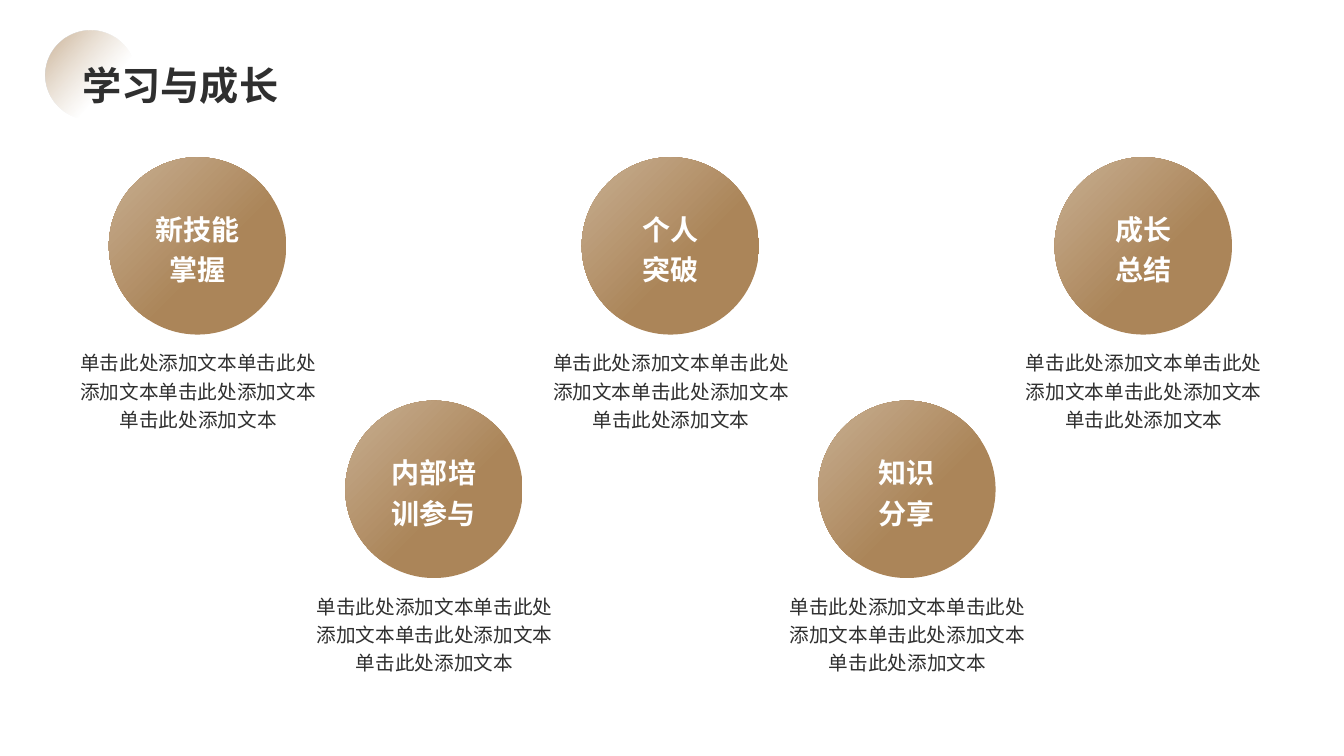
from lxml import etree
from pptx import Presentation
from pptx.dml.color import RGBColor
from pptx.enum.shapes import MSO_SHAPE as SHAPE
from pptx.enum.text import MSO_ANCHOR as ANCHOR, PP_ALIGN as ALIGN
from pptx.oxml import parse_xml
from pptx.oxml.ns import nsdecls, qn
from pptx.util import Inches, Pt

BRONZE = RGBColor(0xAB, 0x85, 0x59)
SAND = RGBColor(0xC8, 0xAF, 0x92)
INK = RGBColor(0x2F, 0x2F, 0x2F)
WHITE = RGBColor(0xFF, 0xFF, 0xFF)
CJK_FONT = "Noto Sans CJK SC"


def add_circle(page, left, top, size, stops, direction):
    circle = page.shapes.add_shape(
        SHAPE.OVAL, Inches(left), Inches(top), Inches(size), Inches(size))
    circle.shadow.inherit = False
    circle.line.fill.background()
    circle.fill.background()
    stop_xml = "".join(
        f'<a:gs pos="{place * 1000}"><a:srgbClr val="{color}">'
        f'<a:alpha val="{alpha * 1000}"/></a:srgbClr></a:gs>'
        for place, color, alpha in stops)
    gradient = parse_xml(
        f'<a:gradFill {nsdecls("a")} rotWithShape="1">'
        f'<a:gsLst>{stop_xml}</a:gsLst>{direction}</a:gradFill>')
    properties = circle.fill._xPr
    properties.replace(properties.find(qn("a:noFill")), gradient)
    return circle


def add_text(para, text, size, font, color, bold=False):
    span = para.add_run()
    span.text = text
    span.font.size = Pt(size)
    span.font.name = font
    span.font.bold = bold
    span.font.color.rgb = color
    east_asian = etree.SubElement(span.font._element, qn("a:ea"))
    east_asian.set("typeface", CJK_FONT)


deck = Presentation()
deck.slide_width = Inches(13.33)
deck.slide_height = Inches(7.5)
page = deck.slides.add_slide(deck.slide_layouts[6])

accent = add_circle(page, 0.45, 0.3, 0.89,
                    [(0, BRONZE, 70), (64, SAND, 0)],
                    '<a:lin ang="2700000" scaled="0"/>')
accent.rotation = 355.9

title = page.shapes.add_textbox(
    Inches(0.72), Inches(0.14), Inches(11.88), Inches(0.98))
title.text_frame.word_wrap = True
title.text_frame.vertical_anchor = ANCHOR.BOTTOM
add_text(title.text_frame.paragraphs[0], "学习与成长", 28, "Arial", INK, True)

topics = [["新技能", "掌握"], ["内部培训参与"], ["个人", "突破"],
          ["知识", "分享"], ["成长", "总结"]]
for index, lines in enumerate(topics):
    left = 1.08 + 2.345 * index
    top = 1.56 + 2.415 * (index % 2)
    circle = add_circle(page, left, top, 1.76,
                        [(0, SAND, 100), (59, BRONZE, 100)],
                        '<a:path path="circle">'
                        '<a:fillToRect r="100000" b="100000"/></a:path>')
    frame = circle.text_frame
    frame.word_wrap = True
    frame.vertical_anchor = ANCHOR.MIDDLE
    for number, line in enumerate(lines):
        para = frame.add_paragraph() if number else frame.paragraphs[0]
        para.alignment = ALIGN.CENTER
        para.line_spacing = 1.2
        add_text(para, line, 20, CJK_FONT, WHITE, True)

    box = page.shapes.add_textbox(
        Inches(left - 0.46), Inches(top + 1.83), Inches(2.69), Inches(0.92))
    box.text_frame.word_wrap = True
    para = box.text_frame.paragraphs[0]
    para.alignment = ALIGN.CENTER
    para.line_spacing = 1.2
    para.space_after = Pt(6)
    add_text(para, "单击此处添加文本" * 4, 14, "Arial", INK)

deck.save("out.pptx")
